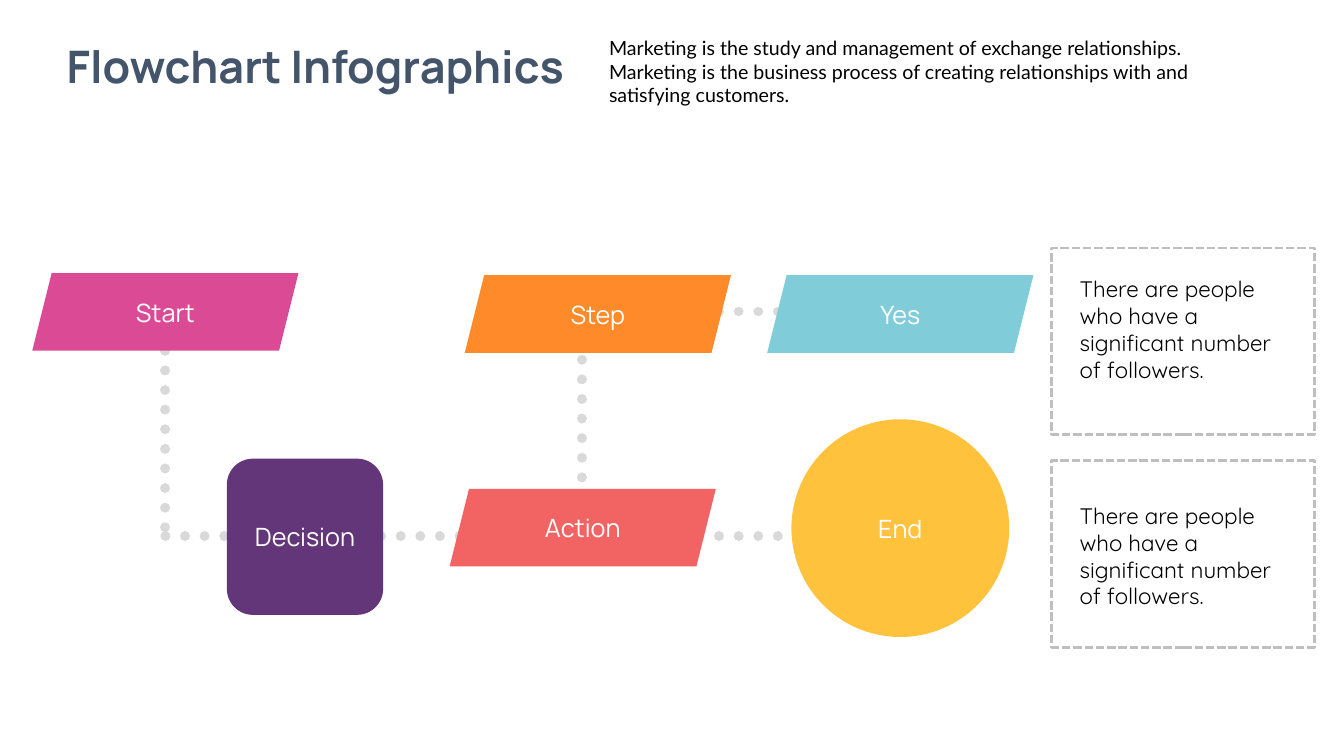
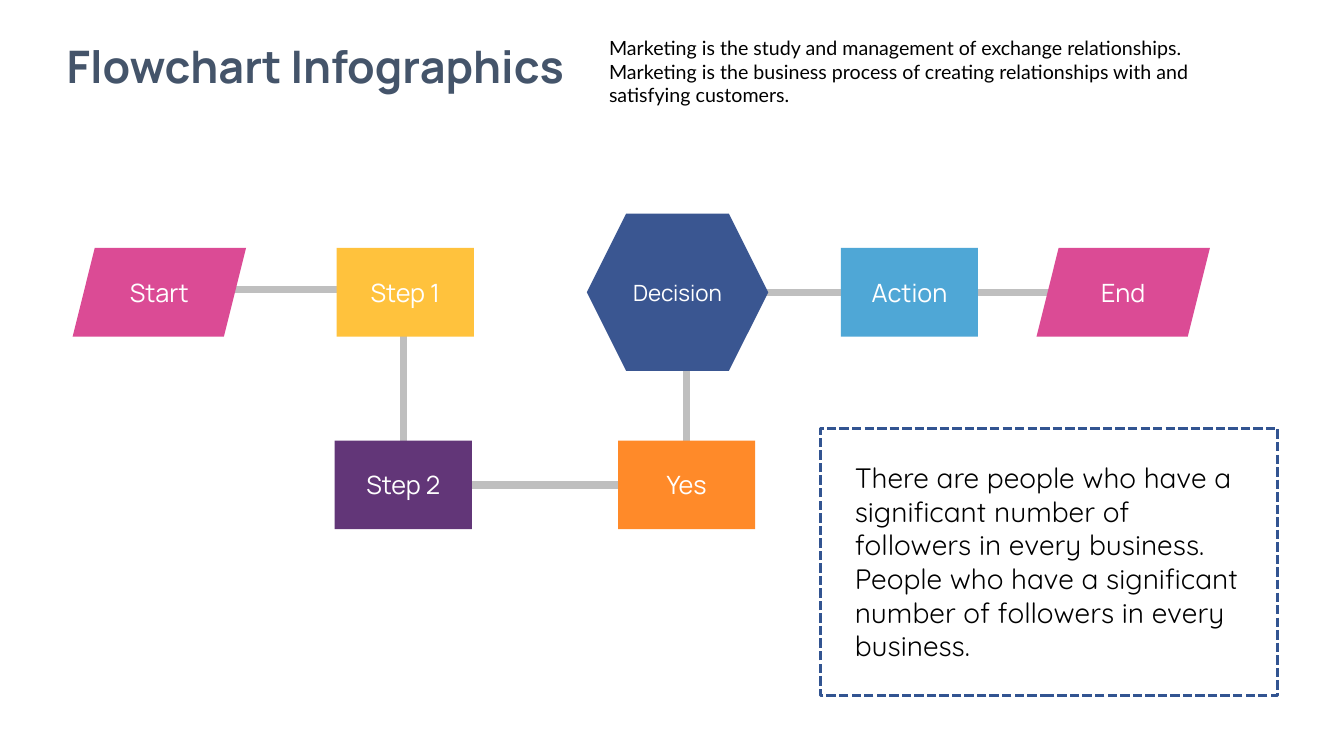
from lxml import etree
from pptx import Presentation
from pptx.dml.color import RGBColor
from pptx.enum.dml import MSO_LINE_DASH_STYLE as Dash
from pptx.enum.shapes import MSO_CONNECTOR as Connector, MSO_SHAPE as Shape
from pptx.enum.text import MSO_ANCHOR as Anchor, MSO_AUTO_SIZE as AutoSize, PP_ALIGN as Align
from pptx.oxml.ns import qn
from pptx.util import Inches, Pt

BLACK = RGBColor(0x00, 0x00, 0x00)
WHITE = RGBColor(0xFF, 0xFF, 0xFF)
SLATE = RGBColor(0x44, 0x54, 0x6A)
PINK = RGBColor(0xDB, 0x4B, 0x95)
ORANGE = RGBColor(0xFF, 0x8A, 0x29)
CORAL = RGBColor(0xF2, 0x63, 0x63)
AQUA = RGBColor(0x80, 0xCD, 0xD9)
YELLOW = RGBColor(0xFF, 0xC2, 0x3D)
PURPLE = RGBColor(0x62, 0x36, 0x78)
BLUE = RGBColor(0x3A, 0x56, 0x91)
SKY = RGBColor(0x4F, 0xA7, 0xD6)
NAVY = RGBColor(0x32, 0x54, 0x91)
GREY = RGBColor(0xBF, 0xBF, 0xBF)
PALE_GREY = RGBColor(0xD9, 0xD9, 0xD9)

HEADING_FONT, INTRO_FONT, NOTE_FONT = "Manrope", "Lato", "Quicksand"

TITLE = "Flowchart Infographics"
INTRO = ("Marketing is the study and management of exchange relationships. "
         "Marketing is the business process of creating relationships with and "
         "satisfying customers.")
SHORT_NOTE = "There are people who have a significant number of followers."
LONG_NOTE = ("There are people who have a significant number of followers in every business. "
             "People who have a significant number of followers in every business.")

SLANTED = (2.64, 0.77)
SMALL_SLANTED = (1.72, 0.88)
BLOCK = (1.36, 0.88)

FLOWCHARTS = [
    {
        "line": (PALE_GREY, 7, True),
        "routes": [
            [(1.64, 3.48), (1.64, 5.32), (5.77, 5.32), (5.77, 3.09), (8.93, 3.09)],
            [(5.77, 5.32), (8.93, 5.32)],
        ],
        "nodes": [
            ("Start", Shape.PARALLELOGRAM, (0.32, 2.71), SLANTED, PINK, 18),
            ("Step", Shape.PARALLELOGRAM, (4.61, 2.73), SLANTED, ORANGE, 18),
            ("Action", Shape.PARALLELOGRAM, (4.46, 4.85), SLANTED, CORAL, 18),
            ("Yes", Shape.PARALLELOGRAM, (7.61, 2.73), SLANTED, AQUA, 18),
            ("End", Shape.OVAL, (7.85, 4.16), (2.16, 2.16), YELLOW, 18),
            ("Decision", Shape.ROUNDED_RECTANGLE, (2.25, 4.55), (1.55, 1.55), PURPLE, 18),
        ],
        "frame_line": (GREY, 2),
        "note_size": 16,
        "notes": [
            (SHORT_NOTE, (10.43, 2.46, 2.61, 1.85), (10.61, 2.68, 2.26, 1.18)),
            (SHORT_NOTE, (10.43, 4.57, 2.61, 1.85), (10.61, 4.93, 2.26, 1.18)),
        ],
    },
    {
        "line": (GREY, 5.25, False),
        "routes": [
            [(1.58, 2.87), (4, 2.87), (4, 4.81), (6.81, 4.81), (6.81, 2.9), (11.14, 2.9)],
        ],
        "nodes": [
            ("Start", Shape.PARALLELOGRAM, (0.72, 2.46), SMALL_SLANTED, PINK, 18),
            ("End", Shape.PARALLELOGRAM, (10.28, 2.46), SMALL_SLANTED, PINK, 18),
            ("Step 1", Shape.RECTANGLE, (3.34, 2.46), BLOCK, YELLOW, 18),
            ("Step 2", Shape.RECTANGLE, (3.32, 4.37), BLOCK, PURPLE, 18),
            ("Yes", Shape.RECTANGLE, (6.13, 4.37), BLOCK, ORANGE, 18),
            ("Decision", Shape.HEXAGON, (5.82, 2.12), (1.8, 1.56), BLUE, 16),
            ("Action", Shape.RECTANGLE, (8.34, 2.46), BLOCK, SKY, 18),
        ],
        "frame_line": (NAVY, 2.25),
        "note_size": 20,
        "notes": [(LONG_NOTE, (8.14, 4.25, 4.53, 2.65), (8.38, 4.52, 4.06, 2.12))],
    },
]


def place(shape, area):
    shape.left, shape.top, shape.width, shape.height = map(Inches, area)


def write(shape, text, font, size, color, align=Align.LEFT, anchor=Anchor.TOP,
          bold=False, spacing=1.0):
    frame = shape.text_frame
    frame.word_wrap = True
    frame.auto_size = AutoSize.NONE
    frame.vertical_anchor = anchor
    para = frame.paragraphs[0]
    para.alignment = align
    para.space_before = Pt(0)
    para.line_spacing = spacing
    span = para.add_run()
    span.text = text
    span.font.name = font
    span.font.size = Pt(size)
    span.font.bold = bold
    span.font.color.rgb = color
    return para


def add_header(page):
    title, intro = page.shapes.title, page.placeholders[1]
    place(title, (0.32, 0.39, 5.62, 0.64))
    write(title, TITLE, HEADING_FONT, 32, SLATE, Align.CENTER, bold=True, spacing=0.9)
    place(intro, (5.94, 0.31, 6.3, 0.81))
    para = write(intro, INTRO, INTRO_FONT, 14, BLACK)
    properties = para._p.get_or_add_pPr()
    properties.set("marL", "0")
    properties.set("indent", "0")
    etree.SubElement(properties, qn("a:buNone"))


def add_route(page, points, color, width, dotted):
    for start, end in zip(points, points[1:]):
        link = page.shapes.add_connector(Connector.STRAIGHT, *map(Inches, start + end))
        link.line.color.rgb = color
        link.line.width = Pt(width)
        if dotted:
            link.line.dash_style = Dash.ROUND_DOT
            link.line._get_or_add_ln().set("cap", "rnd")
        etree.SubElement(link._element.spPr, qn("a:effectLst"))


def add_node(page, text, kind, corner, extent, color, size):
    node = page.shapes.add_shape(kind, *map(Inches, corner + extent))
    node.shadow.inherit = False
    node.fill.solid()
    node.fill.fore_color.rgb = color
    node.line.fill.background()
    write(node, text, HEADING_FONT, size, WHITE, Align.CENTER, Anchor.MIDDLE)


def add_note(page, text, frame_area, text_area, size, color, width):
    frame = page.shapes.add_shape(Shape.RECTANGLE, *map(Inches, frame_area))
    frame.shadow.inherit = False
    frame.fill.background()
    frame.line.color.rgb = color
    frame.line.width = Pt(width)
    frame.line.dash_style = Dash.SQUARE_DOT
    box = page.shapes.add_textbox(*map(Inches, text_area))
    write(box, text, NOTE_FONT, size, BLACK)


def main():
    deck = Presentation()
    deck.slide_width, deck.slide_height = Inches(13.33), Inches(7.5)
    for chart in FLOWCHARTS:
        page = deck.slides.add_slide(deck.slide_layouts[1])
        add_header(page)
        for points in chart["routes"]:
            add_route(page, points, *chart["line"])
        for node in chart["nodes"]:
            add_node(page, *node)
        for note in chart["notes"]:
            add_note(page, *note, chart["note_size"], *chart["frame_line"])
    deck.save("out.pptx")


if __name__ == "__main__":
    main()
